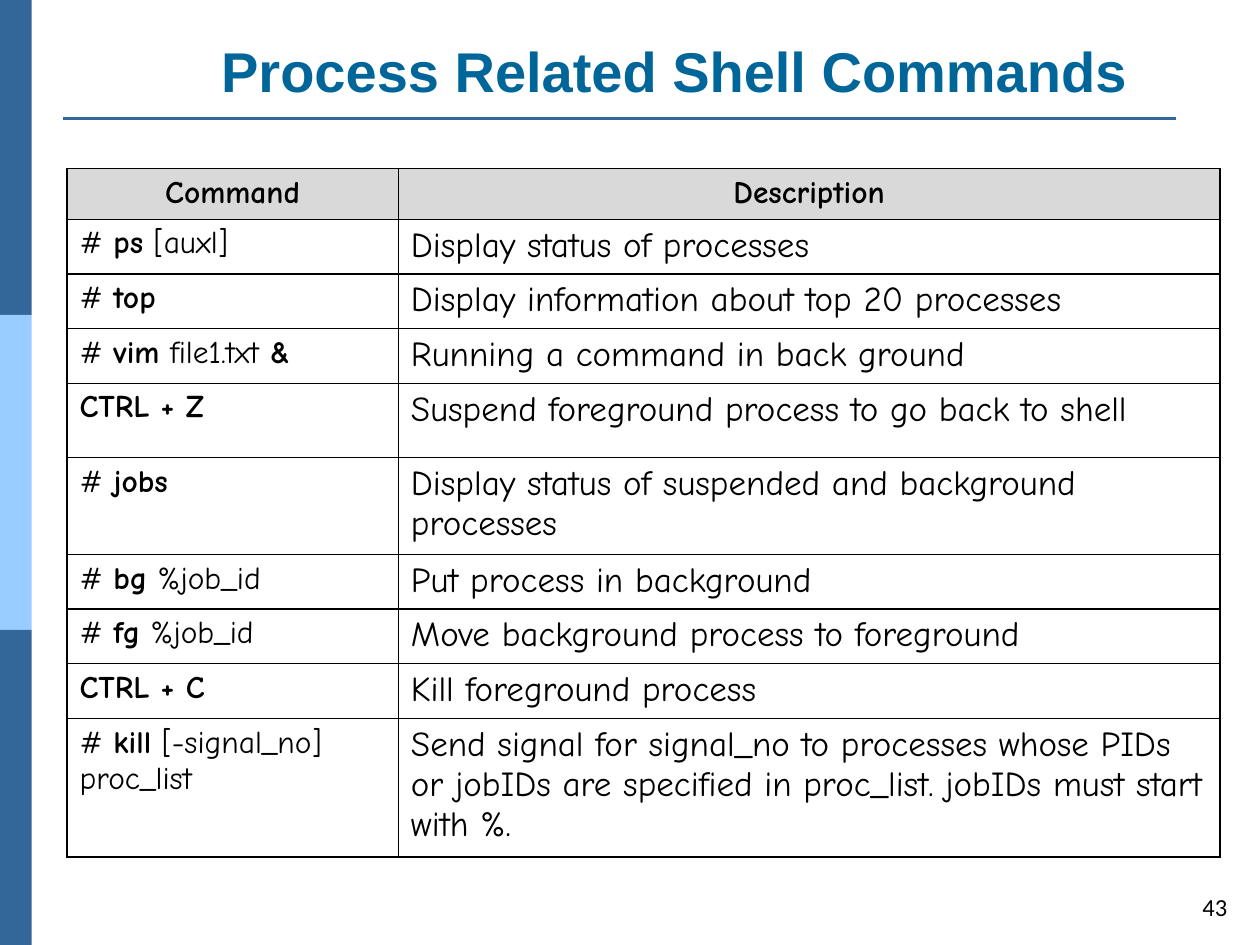
from dataclasses import dataclass

from lxml.etree import SubElement
from pptx import Presentation
from pptx.dml.color import RGBColor as RGB
from pptx.enum.shapes import MSO_CONNECTOR as Link, MSO_SHAPE as Shape
from pptx.enum.text import MSO_ANCHOR as Anchor, PP_ALIGN as Align
from pptx.oxml import parse_xml
from pptx.oxml.ns import nsdecls, qn
from pptx.util import Cm, Pt


@dataclass(frozen=True)
class Theme:
    dark: RGB = RGB(0x33, 0x66, 0x99)
    light: RGB = RGB(0x99, 0xCC, 0xFF)
    title: RGB = RGB(0x00, 0x66, 0x99)
    head: RGB = RGB(0xD9, 0xD9, 0xD9)
    ink: RGB = RGB(0, 0, 0)
    big: Pt = Pt(32)
    desc: Pt = Pt(20)
    cmd: Pt = Pt(18)
    small: Pt = Pt(14)
    face: str = "Comic Neue"


look = Theme()


def add_run(para, text, size, bold=False, face=look.face, color=look.ink):
    run = para.add_run()
    run.text = text
    font = run.font
    font.name, font.size, font.bold = face, size, bold
    font.color.rgb = color


def add_box(left, top, width, height, anchor, align):
    box = slide.shapes.add_textbox(Cm(left), Cm(top), Cm(width), Cm(height))
    frame = box.text_frame
    frame.word_wrap = True
    frame.vertical_anchor = anchor
    para = frame.paragraphs[0]
    para.alignment = align
    return para


deck = Presentation()
deck.slide_width, deck.slide_height = Cm(25.4), Cm(19.05)
slide = deck.slides.add_slide(deck.slide_layouts[6])

# Side bars
for i, color in enumerate([look.dark, look.light, look.dark]):
    bar = slide.shapes.add_shape(
        Shape.RECTANGLE, Cm(0), Cm(6.35 * i), Cm(0.64), Cm(6.35))
    bar.shadow.inherit = False
    bar.fill.solid()
    bar.fill.fore_color.rgb = color
    bar.line.fill.background()

# Title and rule
para = add_box(2.64, 0.43, 21.92, 1.78, Anchor.BOTTOM, Align.CENTER)
add_run(para, "Process Related Shell Commands", look.big, True, "Arial", look.title)
rule = slide.shapes.add_connector(
    Link.STRAIGHT, Cm(1.27), Cm(2.39), Cm(23.7), Cm(2.39))
rule.line.color.rgb = look.dark
rule.line.width = Pt(1.5)
SubElement(rule._element.spPr, qn("a:effectLst"))

# Rows: height, command as (text, bold) runs, description
rows = [
    (1.02, [("Command", True)], "Description"),
    (1.02, [("# ", False), ("ps", True), (" [auxl]", False)],
     "Display status of processes"),
    (1.02, [("# ", False), ("top", True)],
     "Display information about top 20 processes"),
    (1.02, [("# ", False), ("vim", True), (" file1.txt", False), (" &", True)],
     "Running a command in back ground"),
    (1.5, [("CTRL + Z", True)],
     "Suspend foreground process to go back to shell"),
    (1.5, [("# ", False), ("jobs", True)],
     "Display status of suspended and background processes"),
    (1.02, [("# ", False), ("bg", True), (" %job_id", False)],
     "Put process in background"),
    (1.02, [("# ", False), ("fg", True), (" %job_id", False)],
     "Move background process to foreground"),
    (1.02, [("CTRL + C", True)], "Kill foreground process"),
    (2.77, [("# ", False), ("kill", True), (" [-signal_no] proc_list", False)],
     "Send signal for signal_no to processes whose PIDs or jobIDs are "
     "specified in proc_list. jobIDs must start with %."),
]

# Command table
high = sum(row[0] for row in rows)
table = slide.shapes.add_table(
    len(rows), 2, Cm(1.35), Cm(3.4), Cm(23.24), Cm(high)).table
table.first_row = table.horz_banding = False
for col, width in zip(table.columns, [6.68, 16.56]):
    col.width = Cm(width)

for i, (height, runs, desc) in enumerate(rows):
    table.rows[i].height = Cm(height)
    head = i == 0
    size = look.cmd if head else look.desc
    for j, parts in enumerate([runs, [(desc, head)]]):
        cell = table.cell(i, j)
        para = cell.text_frame.paragraphs[0]
        para.alignment = Align.CENTER if head else Align.LEFT
        for text, bold in parts:
            add_run(para, text, size if j else look.cmd, bold)
        # Borders go in ahead of the fill
        props = cell._tc.get_or_add_tcPr()
        for side in "LRTB":
            props.append(parse_xml(
                f'<a:ln{side} {nsdecls("a")} w="{Pt(1)}"><a:solidFill>'
                f'<a:srgbClr val="{look.ink}"/></a:solidFill></a:ln{side}>'))
        if head:
            cell.fill.solid()
            cell.fill.fore_color.rgb = look.head
        else:
            cell.fill.background()

# Page number
para = add_box(23.85, 17.75, 1.14, 1.04, Anchor.MIDDLE, Align.RIGHT)
add_run(para, "43", look.small, face="Calibri")

deck.save("out.pptx")
